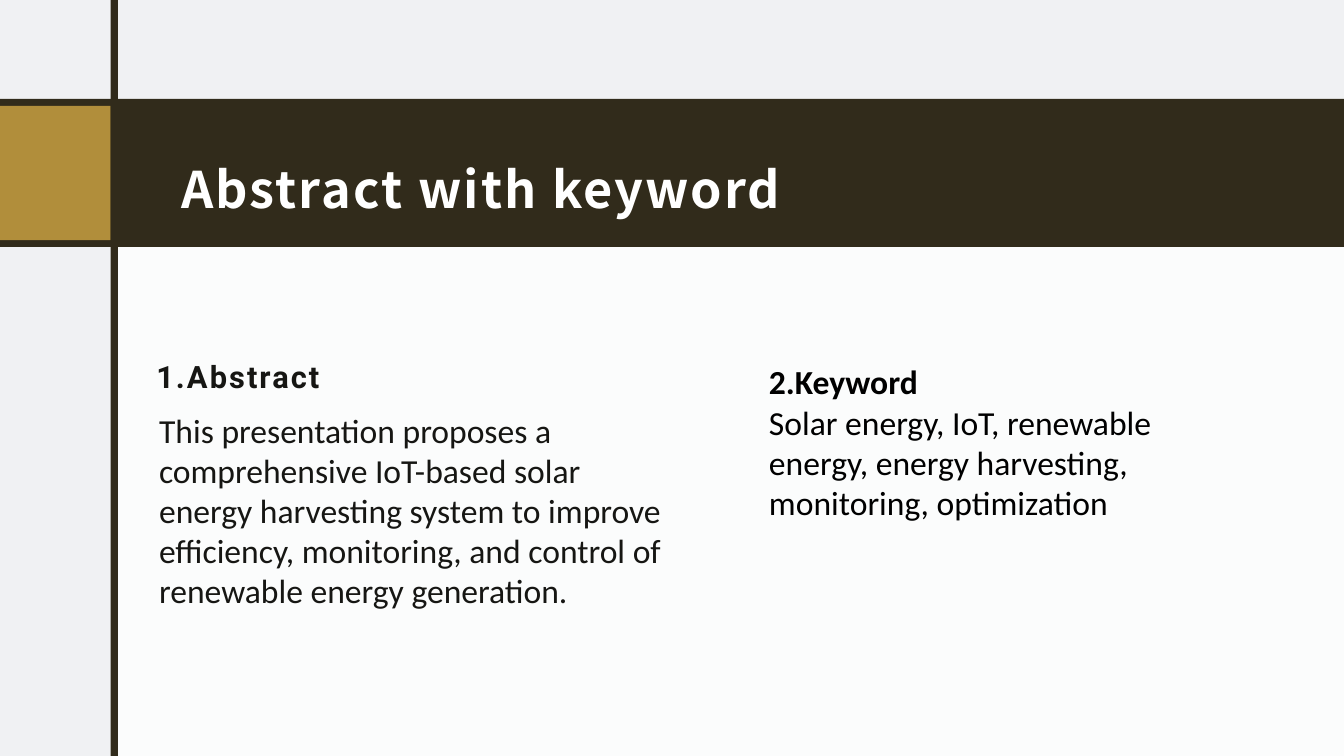
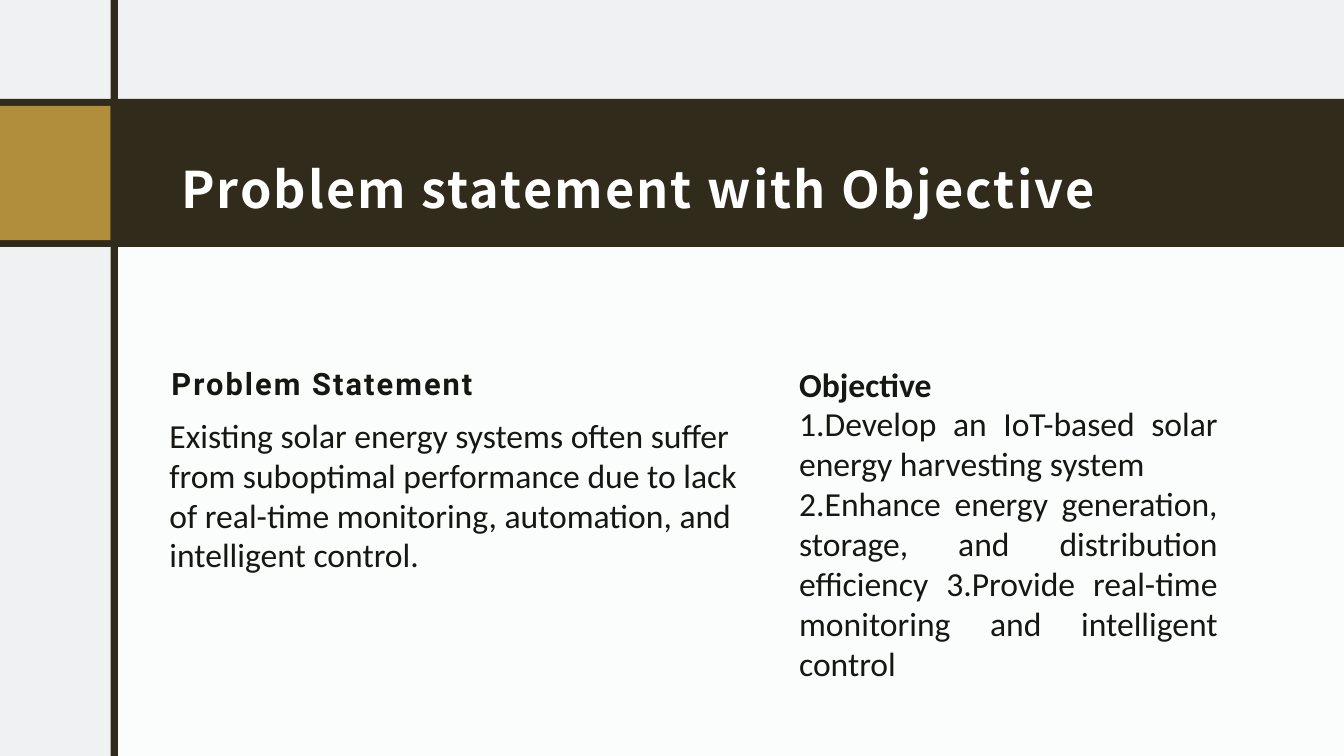
import pptx
import pptx.dml.color
import pptx.enum.shapes
import pptx.enum.text
import pptx.util

Cm, Pt = pptx.util.Cm, pptx.util.Pt
ALIGN = pptx.enum.text.PP_ALIGN
ANCHOR = pptx.enum.text.MSO_ANCHOR

COLORS = {
    "background": "F0F1F3",
    "panel": "FBFCFC",
    "band": "312B1B",
    "gold": "B18E3B",
    "title": "FFFFFF",
    "body": "161613",
    "black": "000000",
}


def rgb(name):
    return pptx.dml.color.RGBColor.from_string(COLORS[name])


def add_text(slide, box, paragraphs, *, size=24, font="Calibri", color="body",
             bold_first=False, spacing=None, tracking=0, align=ALIGN.LEFT,
             anchor=ANCHOR.TOP, insets=(0, 0, 0, 0), right_indents=()):
    """Add a text box; right_indents maps paragraph numbers to lengths."""
    frame = slide.shapes.add_textbox(*map(Cm, box)).text_frame
    frame.word_wrap = True
    frame.vertical_anchor = anchor
    (frame.margin_left, frame.margin_top,
     frame.margin_right, frame.margin_bottom) = map(Cm, insets)
    for number, text in enumerate(paragraphs):
        paragraph = frame.paragraphs[0] if number == 0 else frame.add_paragraph()
        paragraph.alignment = align
        paragraph.line_spacing = spacing
        if number in right_indents:
            paragraph._p.get_or_add_pPr().set("marR", str(Cm(right_indents[number])))
        run = paragraph.add_run()
        run.text = text
        run.font.name = font
        run.font.size = Pt(size)
        run.font.bold = bold_first and number == 0
        run.font.color.rgb = rgb(color)
        if tracking:
            run._r.get_or_add_rPr().set("spc", str(int(tracking * 100)))


# Shared look
SLIDE_W, SLIDE_H = 33.87, 19.05
FRAME = [
    ("panel", (2.9, 5.92, SLIDE_W - 2.9, SLIDE_H - 5.92)),
    ("band", (0, 2.49, SLIDE_W, 3.73)),
    ("gold", (0, 2.67, 2.79, 3.38)),
    ("band", (2.79, 0, 0.18, SLIDE_H)),
]
TITLE_BOX = (4.27, 2.9, 27.81, 2.87)
TITLE = dict(size=36, font="Noto Sans CJK JP", color="title", bold_first=True,
             spacing=1.5, tracking=1.5, anchor=ANCHOR.MIDDLE,
             insets=(0.3, 0.3, 0.3, 0.25))
HEADING = dict(size=22, font="Roboto", bold_first=True, spacing=Pt(27.5), tracking=1.5)
BODY = dict(spacing=Pt(28.5))
KEYWORDS = dict(color="black", bold_first=True, insets=(0.25, 0.13, 0.25, 0.13))
OBJECTIVES = dict(BODY, bold_first=True, align=ALIGN.JUSTIFY, right_indents={1: 1.64})

# Content: title, then text boxes as (box, paragraphs, format)
SLIDES = [
    ("Abstract with keyword", [
        ((19.13, 8.97, 10.72, 5.38), [
            "2.Keyword",
            "Solar energy, IoT, renewable energy, energy harvesting, "
            "monitoring, optimization",
        ], KEYWORDS),
        ((3.94, 8.97, 13.2, 1.3), ["1.Abstract"], HEADING),
        ((4.01, 10.34, 13.13, 5.38), [
            "This presentation proposes a comprehensive IoT-based solar energy "
            "harvesting system to improve efficiency, monitoring, and control of "
            "renewable energy generation.",
        ], BODY),
    ]),
    ("Problem statement with Objective", [
        ((4.32, 9.14, 9.4, 1.3), ["Problem Statement"], HEADING),
        ((4.27, 10.46, 14.5, 6.71), [
            "Existing solar energy systems often suffer from suboptimal "
            "performance due to lack of real-time monitoring, automation, and "
            "intelligent control.",
        ], BODY),
        ((20.14, 9.17, 12.19, 6.91), [
            "Objective",
            "1.Develop an IoT-based solar energy harvesting system",
            "2.Enhance energy generation, storage, and distribution efficiency "
            "3.Provide real-time monitoring and intelligent control",
        ], OBJECTIVES),
    ]),
]

deck = pptx.Presentation()
deck.slide_width, deck.slide_height = Cm(SLIDE_W), Cm(SLIDE_H)

for title, texts in SLIDES:
    slide = deck.slides.add_slide(deck.slide_layouts[6])
    slide.background.fill.solid()
    slide.background.fill.fore_color.rgb = rgb("background")

    # Panel, title band, gold block and vertical rule
    for color, box in FRAME:
        block = slide.shapes.add_shape(
            pptx.enum.shapes.MSO_SHAPE.RECTANGLE, *map(Cm, box))
        block.shadow.inherit = False
        block.fill.solid()
        block.fill.fore_color.rgb = rgb(color)
        block.line.fill.background()

    # Title and body texts
    add_text(slide, TITLE_BOX, [title], **TITLE)
    for box, paragraphs, style in texts:
        add_text(slide, box, paragraphs, **style)

deck.save("out.pptx")
